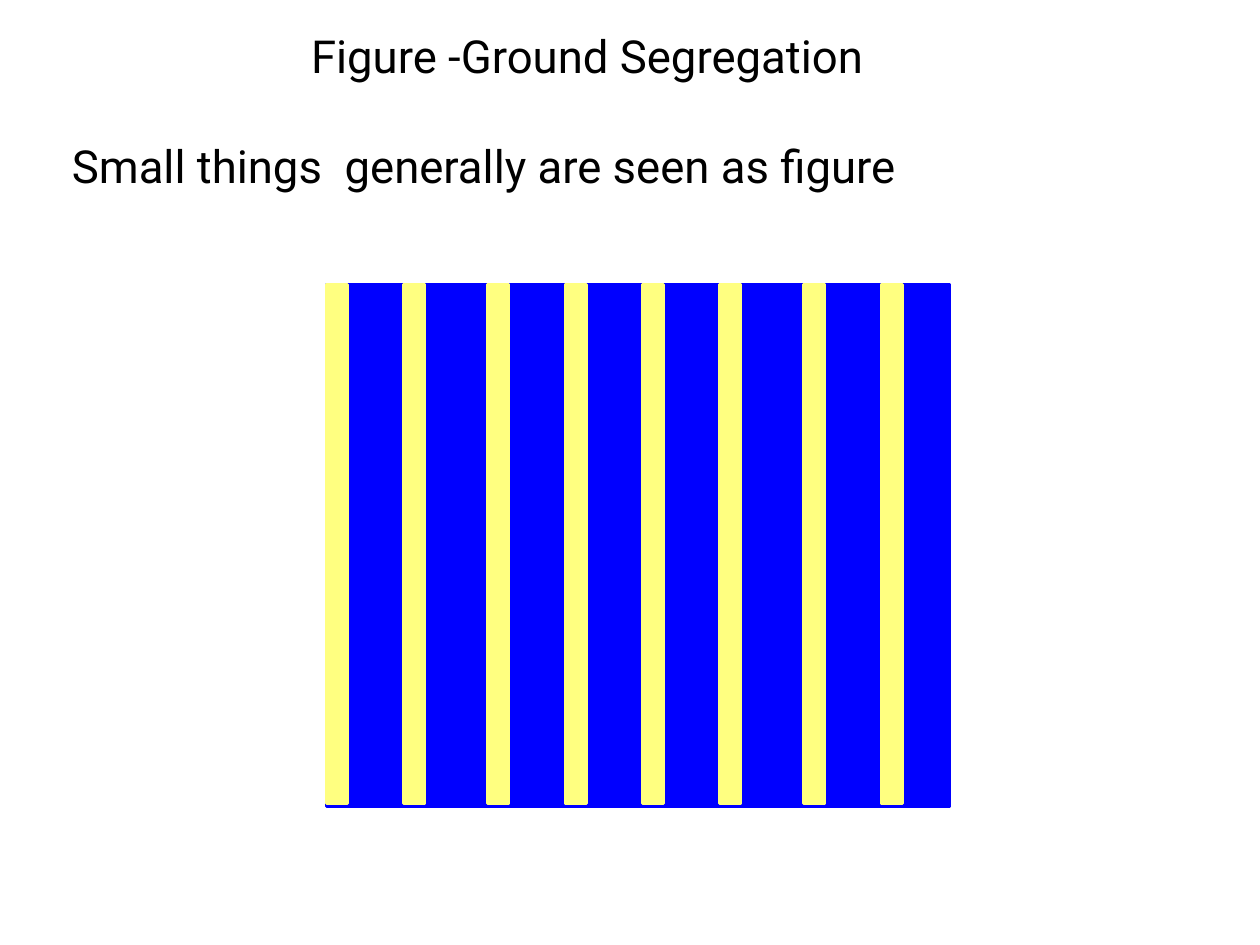
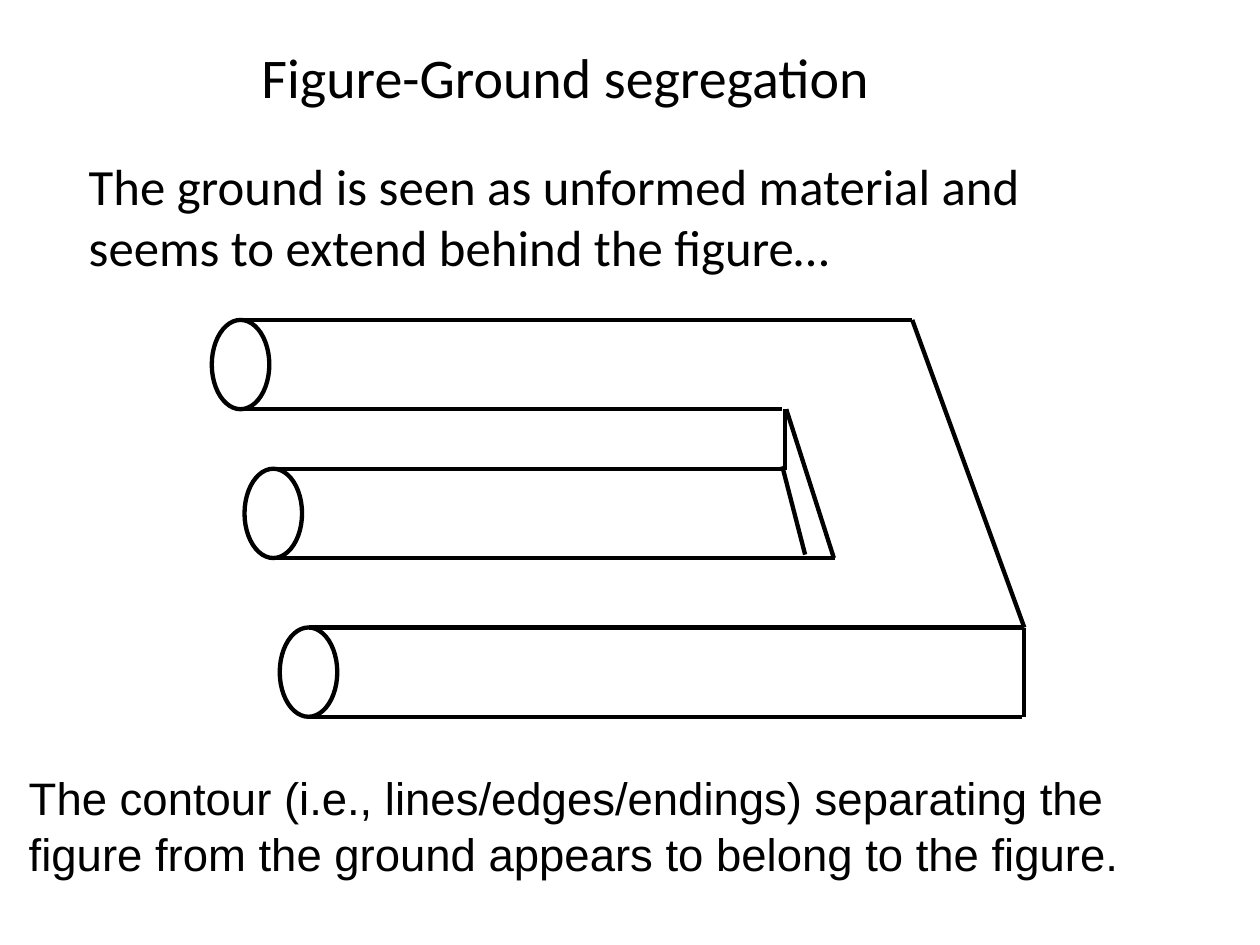
from typing import NamedTuple

from lxml.etree import SubElement
from pptx import Presentation
from pptx.dml.color import RGBColor
from pptx.enum.shapes import MSO_CONNECTOR as Connector, MSO_SHAPE as Preset
from pptx.enum.text import MSO_ANCHOR as Anchor, MSO_AUTO_SIZE as AutoSize, PP_ALIGN as Align
from pptx.oxml.ns import qn
from pptx.util import Cm, Pt

COLORS = {"ink": "000000", "ground": "0000FF", "stripe": "FFFF80"}
STRIPE_LINE = 1.45
FORK_LINE = 2.47


class Box(NamedTuple):
    """Position and size in centimetres."""
    left: float
    top: float
    width: float
    height: float

    def lengths(self) -> list:
        return [Cm(value) for value in self]


class Prong(NamedTuple):
    """A round prong end, and where its two long edges stop."""
    left: float
    top: float
    upper_end: float
    lower_end: float


class Edge(NamedTuple):
    x1: float
    y1: float
    x2: float
    y2: float


def color(name: str) -> RGBColor:
    return RGBColor.from_string(COLORS[name])


def write(shape, text: str, box: Box, *, font: str, size: float,
          inset: tuple = (0, 0), spacing: float = 1.0) -> None:
    shape.left, shape.top, shape.width, shape.height = box.lengths()
    frame = shape.text_frame
    frame.word_wrap = True
    frame.auto_size = AutoSize.NONE
    frame.vertical_anchor = Anchor.TOP
    frame.margin_left = frame.margin_right = Cm(inset[0])
    frame.margin_top = frame.margin_bottom = Cm(inset[1])
    frame.text = text
    paragraph = frame.paragraphs[0]
    paragraph.alignment = Align.LEFT
    paragraph.line_spacing = spacing
    style = paragraph.runs[0].font
    style.name, style.size = font, Pt(size)
    style.color.rgb = color("ink")


def add_text(slide, text: str, box: Box, **style) -> None:
    write(slide.shapes.add_textbox(*box.lengths()), text, box, **style)


def add_preset(slide, preset: Preset, box: Box, *, line: str, weight: float,
               fill: str = "") -> None:
    shape = slide.shapes.add_shape(preset, *box.lengths())
    shape.shadow.inherit = False
    if fill:
        shape.fill.solid()
        shape.fill.fore_color.rgb = color(fill)
    else:
        shape.fill.background()
    shape.line.color.rgb = color(line)
    shape.line.width = Pt(weight)


def add_edge(slide, edge: Edge) -> None:
    line = slide.shapes.add_connector(Connector.STRAIGHT, *[Cm(v) for v in edge])
    line.line.color.rgb = color("ink")
    line.line.width = Pt(FORK_LINE)
    SubElement(line._element.spPr, qn("a:effectLst"))


def add_titled_slide(deck, title: str, box: Box, **style):
    slide = deck.slides.add_slide(deck.slide_layouts[5])
    write(slide.shapes.title, title, box, **style)
    return slide


def build_stripes(deck) -> None:
    roboto = dict(font="Roboto", size=26)
    slide = add_titled_slide(deck, "Figure -Ground Segregation",
                             Box(6.27, 0.56, 14.71, 1.14), **roboto)
    add_text(slide, "Small things  generally are seen as figure",
             Box(1.45, 2.79, 21.44, 1.14), **roboto)

    # Blue ground with narrow stripes; every fourth gap is slightly wider
    ground = Box(6.58, 5.74, 12.57, 10.52)
    add_preset(slide, Preset.RECTANGLE, ground, fill="ground", line="ground",
               weight=STRIPE_LINE)
    for i in range(8):
        left = ground.left + 1.56 * i + 0.13 * ((i + 2) // 4)
        add_preset(slide, Preset.RECTANGLE, Box(left, ground.top, 0.43, 10.46),
                   fill="stripe", line="stripe", weight=STRIPE_LINE)


def build_fork(deck) -> None:
    calibri = dict(font="Calibri", inset=(0.24, 0.12))
    slide = add_titled_slide(deck, "Figure-Ground segregation",
                             Box(5.03, 0.74, 13.06, 1.57), size=32, **calibri)

    # Prongs: a round end with an upper and a lower edge
    end_width, end_height = 1.16, 1.8
    prongs = [
        Prong(4.27, 6.45, 18.39, 15.77),
        Prong(4.93, 9.45, 15.77, 16.84),
        Prong(5.64, 12.65, 20.65, 20.6),
    ]
    for prong in prongs:
        add_preset(slide, Preset.OVAL,
                   Box(prong.left, prong.top, end_width, end_height),
                   line="ink", weight=FORK_LINE)
        start, bottom = prong.left + end_width / 2, prong.top + end_height
        add_edge(slide, Edge(start, prong.top, prong.upper_end, prong.top))
        add_edge(slide, Edge(start, bottom, prong.lower_end, bottom))

    # Edges that join the prongs
    for joint in (
        Edge(18.39, 6.45, 20.65, 12.65),
        Edge(20.65, 12.65, 20.65, 14.45),
        Edge(15.82, 8.25, 15.82, 9.47),
        Edge(15.85, 8.25, 16.81, 11.25),
        Edge(15.77, 9.4, 16.23, 11.18),
    ):
        add_edge(slide, joint)

    # Explanations above and below the fork
    add_text(slide, "The ground is seen as unformed material and seems to extend "
             "behind the figure…", Box(1.55, 3, 21.95, 2.69), size=29, **calibri)
    add_text(slide, "The contour (i.e., lines/edges/endings) separating the figure "
             "from the ground appears to belong to the figure.",
             Box(0.58, 15.49, 24.18, 2.46), font="Arial", size=26, spacing=1.03)


def main() -> None:
    deck = Presentation()
    deck.slide_width, deck.slide_height = Cm(25.4), Cm(19.05)
    build_stripes(deck)
    build_fork(deck)
    deck.save("out.pptx")


if __name__ == "__main__":
    main()
